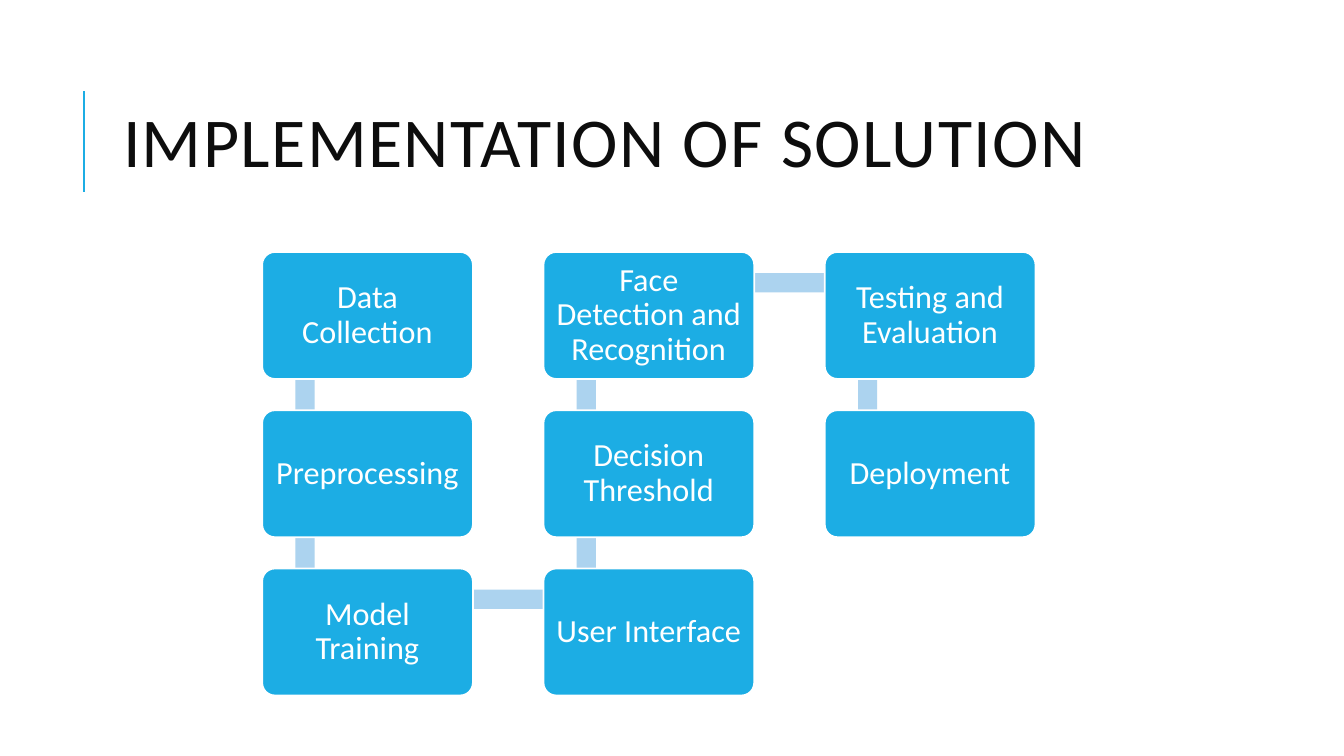
from lxml import etree
from pptx import Presentation
from pptx.dml.color import RGBColor
from pptx.enum.shapes import MSO_CONNECTOR, MSO_SHAPE
from pptx.enum.text import MSO_ANCHOR, MSO_AUTO_SIZE, PP_ALIGN
from pptx.oxml.ns import qn
from pptx.util import Pt

STRAIGHT = MSO_CONNECTOR.STRAIGHT
RECTANGLE, ROUNDED = MSO_SHAPE.RECTANGLE, MSO_SHAPE.ROUNDED_RECTANGLE
MIDDLE = MSO_ANCHOR.MIDDLE
NO_AUTOFIT = MSO_AUTO_SIZE.NONE
LEFT, CENTER = PP_ALIGN.LEFT, PP_ALIGN.CENTER

EMU_PER_PX = 9144
FONT = "Calibri"
BLUE, PALE_BLUE, WHITE, INK = "1CADE4", "ACD3EF", "FFFFFF", "0D0D0D"

STEP_COLUMNS = [
    ["Data Collection", "Preprocessing", "Model Training"],
    ["Face Detection and Recognition", "Decision Threshold", "User Interface"],
    ["Testing and Evaluation", "Deployment"],
]
STEP_WIDTH, STEP_HEIGHT = 209, 126
COLUMN_PITCH, ROW_PITCH = 279, 157
BAR_THICKNESS = 19


def px(length):
    return length * EMU_PER_PX


def color(hex_value):
    return RGBColor.from_string(hex_value)


def format_paragraph(para, size, hex_value, align, spacing):
    para.font.name = FONT
    para.font.size = Pt(size)
    para.font.color.rgb = color(hex_value)
    para.alignment = align
    para.line_spacing = spacing


def add_block(page, kind, box, fill):
    block = page.shapes.add_shape(kind, *map(px, box))
    block.shadow.inherit = False
    block.fill.solid()
    block.fill.fore_color.rgb = color(fill)
    block.line.fill.background()
    return block


def add_title(page, box, text):
    left, top, width, height = box
    rule_x = left - 29
    rule = page.shapes.add_connector(
        STRAIGHT, px(rule_x), px(top + 126), px(rule_x), px(top + 26))
    rule.line.color.rgb = color(BLUE)
    rule.line.width = Pt(1.5)
    etree.SubElement(rule._element.spPr, qn("a:effectLst"))

    title = page.shapes.title
    title.left, title.top, title.width, title.height = map(px, box)
    frame = title.text_frame
    frame.text = text
    frame.word_wrap = True
    frame.auto_size = NO_AUTOFIT
    frame.vertical_anchor = MIDDLE
    para = frame.paragraphs[0]
    format_paragraph(para, 50, INK, LEFT, 0.8)
    para.runs[0].font._element.set("spc", "100")


def add_step(page, left, top, text):
    step = add_block(page, ROUNDED, (left, top, STEP_WIDTH, STEP_HEIGHT), BLUE)
    step.adjustments[0] = 0.1
    step.line.color.rgb = color(WHITE)
    step.line.width = Pt(1.25)
    frame = step.text_frame
    frame.text = text
    frame.word_wrap = True
    frame.vertical_anchor = MIDDLE
    frame.margin_left = frame.margin_right = px(9)
    frame.margin_top = frame.margin_bottom = px(9)
    format_paragraph(frame.paragraphs[0], 23, WHITE, CENTER, 0.9)


def add_process(page, left, top):
    steps = [
        (left + column * COLUMN_PITCH, top + row * ROW_PITCH, text)
        for column, texts in enumerate(STEP_COLUMNS)
        for row, text in enumerate(texts)
    ]
    for (x, y, _), (next_x, _, _) in zip(steps, steps[1:]):
        if x == next_x:
            bar = (x + 33, y + 31, BAR_THICKNESS, ROW_PITCH)
            add_block(page, RECTANGLE, bar, PALE_BLUE)
    for column, row in ((0, 2), (1, 0)):
        bar = (left + column * COLUMN_PITCH + 43, top + row * ROW_PITCH + 21,
               COLUMN_PITCH, BAR_THICKNESS)
        add_block(page, RECTANGLE, bar, PALE_BLUE)
    for step in steps:
        add_step(page, *step)


def main():
    deck = Presentation()
    deck.slide_width, deck.slide_height = px(1333), px(750)
    page = deck.slides.add_slide(deck.slide_layouts[5])
    add_title(page, (112, 64, 1063, 164), "IMPLEMENTATION OF SOLUTION")
    add_process(page, 260, 250)
    deck.save("out.pptx")


if __name__ == "__main__":
    main()
